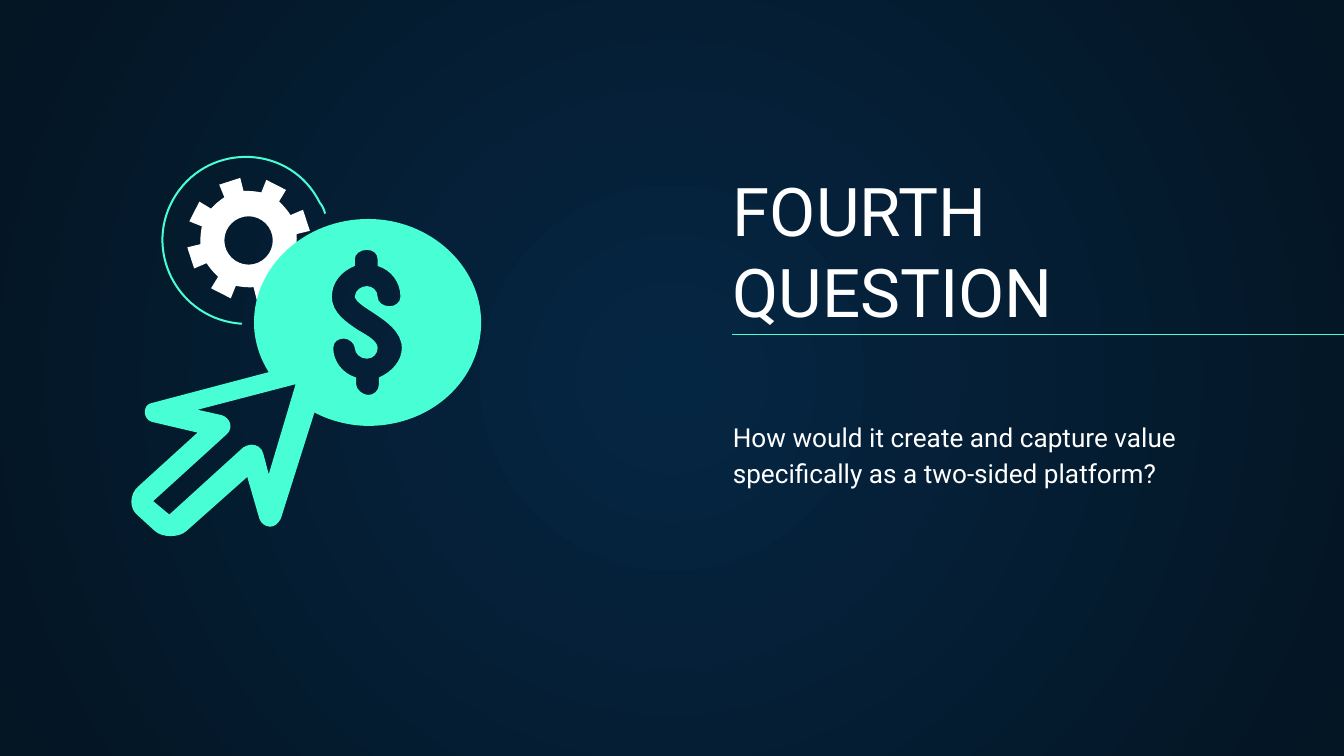
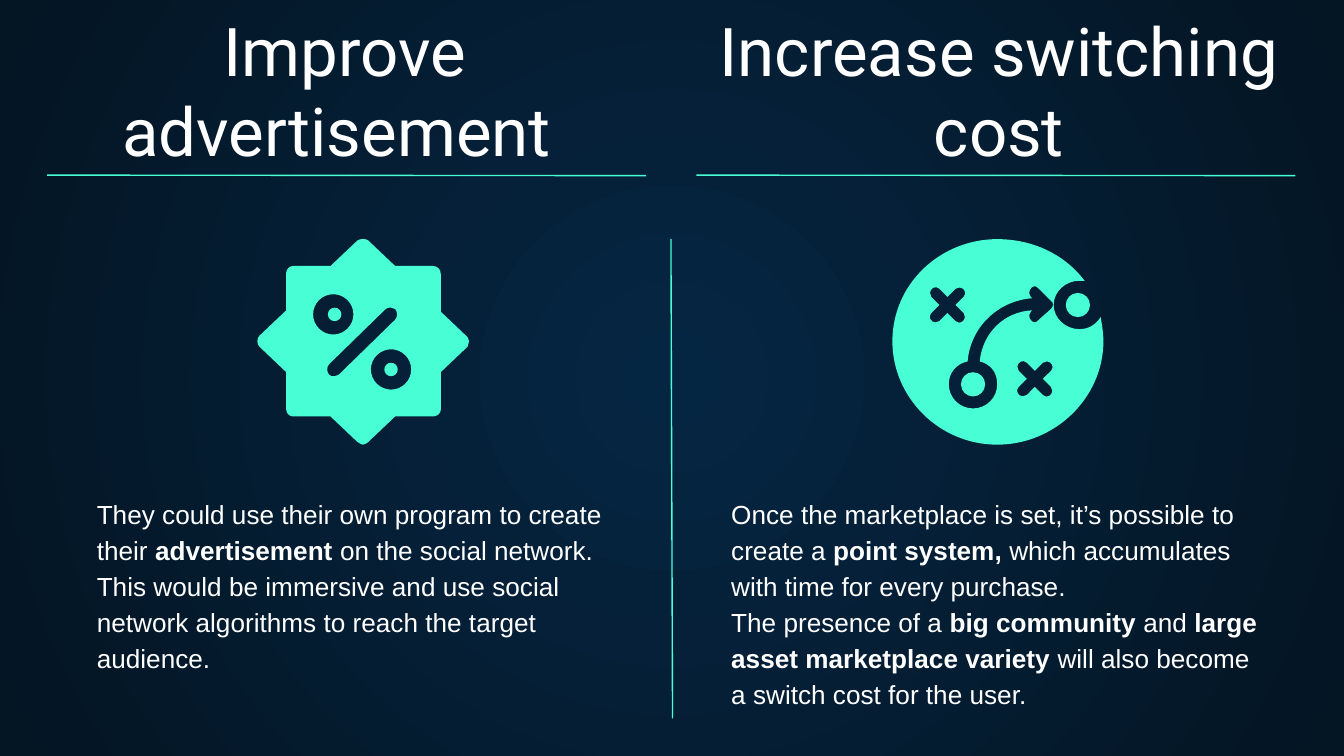
import math
from dataclasses import dataclass
from typing import NamedTuple

from lxml import etree
from pptx import Presentation
from pptx import util as u
from pptx.dml.color import RGBColor
from pptx.enum import shapes, text
from pptx.oxml import ns

WHITE = RGBColor(0xFF, 0xFF, 0xFF)
MINT = RGBColor(0x48, 0xFF, 0xD5)
NAVY = RGBColor(0x05, 0x26, 0x43)
MIDNIGHT = RGBColor(0x04, 0x15, 0x23)

TITLE_FONT = "Roboto"
BODY_FONT = "Arial"
INSET = u.Cm(0.25)
OUTLINE_UNIT = u.Cm(2.54)

Point = tuple[float, float]
Segment = list[Point]
Contour = list[Segment]


class Run(NamedTuple):
    text: str
    bold: bool = False


@dataclass(frozen=True)
class TextBlock:
    left: float
    top: float
    width: float
    height: float
    paragraphs: list[list[Run]]
    font: str = BODY_FONT
    size: int = 14
    spacing: float = 1.15
    alignment: text.PP_ALIGN = text.PP_ALIGN.LEFT
    anchor: text.MSO_ANCHOR = text.MSO_ANCHOR.TOP
    grows: bool = False


@dataclass(frozen=True)
class Rule:
    start: Point
    end: Point


@dataclass(frozen=True)
class Icon:
    contours: list[Contour]
    fill: RGBColor | None = MINT
    closed: bool = True


def moved(contour: Contour, x: float, y: float) -> Contour:
    return [[(x + dx, y + dy) for dx, dy in segment] for segment in contour]


def quarter_turns(contour: Contour) -> Contour:
    turned = []
    for _ in range(4):
        turned += contour
        contour = [[(-y, x) for x, y in segment] for segment in contour]
    return turned


def circle(x: float, y: float, radius: float) -> Contour:
    pull = 0.55 * radius
    quarter = [[(radius, pull), (pull, radius), (0, radius)]]
    return moved([[(radius, 0)]] + quarter_turns(quarter), x, y)


def cross(x: float, y: float) -> Contour:
    arm = [[(0, -0.06)], [(0.06, -0.12)],
           [(0.07, -0.13), (0.08, -0.13), (0.09, -0.13)],
           [(0.12, -0.13), (0.15, -0.09), (0.12, -0.06)]]
    return moved(quarter_turns(arm), x, y)


def gear(x: float, y: float) -> Contour:
    tooth = [[(-0.21, 0.36)], [(-0.18, 0.46)], [(0.18, 0.46)], [(0.21, 0.36)],
             [(0.33, 0.36), (0.45, 0.36), (0.58, 0.36)]]
    contour = []
    for index in range(8):
        middle = math.radians(252 + 45 * index)
        contour += [[(r * math.cos(middle + a), r * math.sin(middle + a)) for a, r in segment]
                    for segment in tooth[min(index, 1):]]
    return moved(contour, x, y)


def outline(drawing: str) -> Contour:
    contour: Contour = []
    for command in drawing.replace("L", "|L").replace("C", "|C").split("|"):
        numbers = [float(n) for n in command.strip("MLC ").split()]
        pairs = list(zip(numbers[::2], numbers[1::2]))
        size = 3 if command.startswith("C") else 1
        contour += [pairs[i:i + size] for i in range(0, len(pairs), size)]
    return contour


ORBIT = outline("M 1.8 2.41 C 1.32 2.38 1.05 1.85 1.31 1.45 1.57 1.05 2.17 1.08 2.38 1.51 "
                "2.4 1.53 2.41 1.56 2.42 1.59")
DOLLAR = outline(
    "M 2.73 1.86 C 2.78 1.86 2.81 1.89 2.81 1.93 L 2.81 1.98 C 2.91 2.01 2.98 2.1 2.98 2.21 "
    "2.98 2.25 2.94 2.28 2.9 2.28 2.85 2.28 2.81 2.25 2.81 2.21 2.81 2.16 2.77 2.13 2.73 2.13 "
    "2.69 2.13 2.64 2.16 2.64 2.21 2.65 2.25 2.72 2.29 2.78 2.33 2.87 2.39 2.99 2.47 2.99 2.59 "
    "2.99 2.69 2.91 2.77 2.82 2.81 L 2.82 2.86 C 2.82 2.91 2.78 2.94 2.74 2.94 "
    "2.7 2.94 2.65 2.9 2.65 2.86 L 2.65 2.81 C 2.55 2.78 2.48 2.69 2.48 2.59 "
    "2.48 2.54 2.52 2.52 2.56 2.52 2.6 2.52 2.64 2.56 2.64 2.59 2.64 2.63 2.68 2.67 2.73 2.67 "
    "2.78 2.67 2.81 2.63 2.81 2.59 2.81 2.54 2.74 2.5 2.67 2.46 2.58 2.4 2.47 2.33 2.47 2.21 "
    "2.47 2.1 2.54 2.02 2.64 1.98 L 2.64 1.93 C 2.64 1.89 2.68 1.86 2.73 1.86")
CURSOR_HOLE = outline(
    "M 2.2 2.86 L 2 3.53 1.96 3.38 C 1.95 3.33 1.91 3.31 1.87 3.31 1.85 3.31 1.83 3.32 1.81 3.33 "
    "L 1.26 3.83 1.14 3.73 1.69 3.23 C 1.74 3.18 1.71 3.11 1.65 3.09 L 1.47 3.05 2.2 2.86")
COIN_AND_CURSOR = outline(
    "M 2.74 1.63 C 2.27 1.63 1.89 1.98 1.89 2.4 1.89 2.53 1.93 2.66 2 2.77 L 1.13 3 "
    "C 1.06 3.01 1.06 3.12 1.13 3.14 L 1.47 3.22 1.03 3.62 C 0.96 3.68 0.96 3.79 1.03 3.84 "
    "L 1.15 3.95 C 1.18 3.98 1.23 3.99 1.27 3.99 1.31 3.99 1.36 3.98 1.39 3.95 "
    "L 1.84 3.55 1.93 3.86 C 1.94 3.89 1.97 3.92 2.01 3.92 2.04 3.92 2.07 3.9 2.09 3.86 "
    "L 2.34 3.07 C 2.45 3.13 2.6 3.17 2.74 3.17 3.21 3.17 3.58 2.83 3.58 2.4 "
    "3.58 1.98 3.2 1.63 2.74 1.63")
PERCENT_SLASH = outline(
    "M 2.91 2.29 C 2.92 2.29 2.93 2.29 2.94 2.3 2.96 2.32 2.96 2.36 2.94 2.38 L 2.52 2.79 "
    "C 2.51 2.8 2.5 2.8 2.49 2.8 2.47 2.8 2.46 2.8 2.45 2.79 2.43 2.77 2.43 2.73 2.45 2.71 "
    "L 2.87 2.3 C 2.88 2.29 2.89 2.29 2.91 2.29")
BADGE = outline(
    "M 2.7 1.78 C 2.69 1.78 2.67 1.78 2.66 1.79 L 2.46 1.98 2.18 1.98 "
    "C 2.15 1.98 2.13 2.01 2.13 2.03 L 2.13 2.31 1.93 2.5 C 1.91 2.52 1.91 2.56 1.93 2.58 "
    "L 2.13 2.77 2.13 3.05 C 2.13 3.08 2.16 3.1 2.18 3.1 L 2.46 3.1 2.66 3.29 "
    "C 2.68 3.3 2.69 3.31 2.7 3.31 2.72 3.31 2.72 3.3 2.74 3.29 L 2.94 3.1 3.22 3.1 "
    "C 3.25 3.1 3.28 3.08 3.28 3.05 L 3.28 2.77 3.48 2.58 C 3.48 2.57 3.49 2.55 3.49 2.54 "
    "3.49 2.53 3.48 2.52 3.48 2.51 L 3.28 2.32 3.28 2.04 C 3.28 2 3.25 1.98 3.22 1.98 "
    "L 2.94 1.98 2.74 1.79 C 2.73 1.78 2.72 1.78 2.7 1.78")
PLAY_ARROW = outline(
    "M 7.7 2.13 C 7.71 2.13 7.72 2.14 7.73 2.15 L 7.82 2.24 C 7.84 2.25 7.84 2.28 7.82 2.3 "
    "L 7.73 2.38 C 7.72 2.39 7.71 2.4 7.7 2.4 7.67 2.4 7.64 2.35 7.67 2.32 L 7.68 2.31 "
    "C 7.47 2.32 7.31 2.48 7.29 2.69 7.37 2.71 7.42 2.77 7.42 2.86 7.42 2.96 7.34 3.04 7.24 3.04 "
    "7.14 3.04 7.06 2.96 7.06 2.86 7.06 2.78 7.11 2.71 7.2 2.69 7.22 2.44 7.42 2.24 7.68 2.22 "
    "L 7.67 2.21 C 7.64 2.18 7.67 2.13 7.7 2.13")
PLAY_BOARD = outline(
    "M 7.42 1.78 C 7 1.78 6.64 2.11 6.64 2.54 6.64 2.96 6.99 3.31 7.42 3.31 "
    "7.85 3.31 8.21 2.96 8.21 2.54 8.21 2.48 8.2 2.42 8.19 2.36 8.15 2.42 8.1 2.45 8.03 2.45 "
    "7.93 2.45 7.84 2.37 7.84 2.27 7.84 2.17 7.93 2.09 8.03 2.09 8.04 2.09 8.06 2.09 8.07 2.09 "
    "7.92 1.89 7.68 1.78 7.42 1.78")

QUESTION_ICONS = [
    Icon([ORBIT], fill=None, closed=False),
    Icon([circle(1.85, 1.79, 0.18), gear(1.85, 1.78)], fill=WHITE),
    Icon([DOLLAR, CURSOR_HOLE, COIN_AND_CURSOR]),
]
PERCENT_BADGE = [
    Icon([circle(2.91, 2.75, 0.05)]),
    Icon([circle(2.49, 2.34, 0.05)]),
    Icon([circle(2.48, 2.34, 0.15), PERCENT_SLASH, circle(2.91, 2.75, 0.15), BADGE]),
]
STRATEGY_BOARD = [
    Icon([circle(7.24, 2.86, 0.09)]),
    Icon([cross(7.05, 2.27), cross(7.7, 2.82), PLAY_ARROW, PLAY_BOARD]),
    Icon([circle(8.02, 2.27, 0.09)]),
]


def title(left: float, top: float, width: float, words: str,
          alignment: text.PP_ALIGN = text.PP_ALIGN.CENTER) -> TextBlock:
    return TextBlock(left, top, width, 1.68, [[Run(words)]], TITLE_FONT, 36, 1.0,
                     alignment, text.MSO_ANCHOR.BOTTOM)


def add_slide(presentation):
    slide = presentation.slides.add_slide(presentation.slide_layouts[6])
    fill = slide.background.fill
    fill.gradient()
    for stop, color in zip(fill.gradient_stops, (NAVY, MIDNIGHT)):
        stop.color.rgb = color
    gradient = slide.element.find(".//" + ns.qn("a:gradFill"))
    gradient.remove(gradient.find(ns.qn("a:lin")))
    circle_path = etree.SubElement(gradient, ns.qn("a:path"), {"path": "circle"})
    etree.SubElement(circle_path, ns.qn("a:fillToRect"),
                     {side: "50000" for side in ("l", "t", "r", "b")})
    return slide


def add_text(slide, block: TextBlock) -> None:
    shape = slide.shapes.add_textbox(u.Cm(block.left), u.Cm(block.top),
                                     u.Cm(block.width), u.Cm(block.height))
    frame = shape.text_frame
    frame.word_wrap = True
    frame.auto_size = (text.MSO_AUTO_SIZE.SHAPE_TO_FIT_TEXT if block.grows
                       else text.MSO_AUTO_SIZE.NONE)
    frame.vertical_anchor = block.anchor
    frame.margin_left = frame.margin_right = INSET
    frame.margin_top = frame.margin_bottom = INSET
    for index, runs in enumerate(block.paragraphs):
        paragraph = frame.add_paragraph() if index else frame.paragraphs[0]
        paragraph.alignment = block.alignment
        paragraph.line_spacing = block.spacing
        for words, bold in runs:
            run = paragraph.add_run()
            run.text = words
            run.font.name = block.font
            run.font.size = u.Pt(block.size)
            run.font.bold = bold
            run.font.color.rgb = WHITE


def add_rule(slide, rule: Rule) -> None:
    ends = [u.Cm(value) for value in (*rule.start, *rule.end)]
    connector = slide.shapes.add_connector(shapes.MSO_CONNECTOR.STRAIGHT, *ends)
    connector.line.color.rgb = MINT
    connector.line.width = u.Pt(0.75)
    etree.SubElement(connector.element.spPr, ns.qn("a:effectLst"))


def bend_curves(shape, contours: list[Contour]) -> None:
    lines = iter(list(shape.element.iter(ns.qn("a:lnTo"))))
    for contour in contours:
        for segment in contour[1:]:
            parts = [next(lines) for _ in segment]
            if len(parts) == 3:
                curve = etree.Element(ns.qn("a:cubicBezTo"))
                parts[0].addprevious(curve)
                for part in parts:
                    curve.append(part[0])
                    part.getparent().remove(part)


def add_icon(shape_tree, icon: Icon) -> None:
    scaled = [[(x * OUTLINE_UNIT, y * OUTLINE_UNIT) for segment in contour for x, y in segment]
              for contour in icon.contours]
    builder = shape_tree.build_freeform(*scaled[0][0])
    for index, points in enumerate(scaled):
        if index:
            builder.move_to(*points[0])
        builder.add_line_segments(points[1:], close=icon.closed)
    shape = builder.convert_to_shape()
    bend_curves(shape, icon.contours)
    shape.shadow.inherit = False
    if icon.fill is None:
        shape.fill.background()
        shape.line.color.rgb = MINT
        shape.line.width = u.Pt(1.09)
    else:
        shape.fill.solid()
        shape.fill.fore_color.rgb = icon.fill
        shape.line.fill.background()


def build_question(presentation) -> None:
    slide = add_slide(presentation)
    add_text(slide, title(13.6, 4.82, 9.8, "FOURTH QUESTION", text.PP_ALIGN.LEFT))
    add_text(slide, TextBlock(13.6, 7.62, 9.6, 3.94, [[Run(
        "How would it create and capture value specifically as a two-sided platform?")]],
        TITLE_FONT))
    for icon in QUESTION_ICONS:
        add_icon(slide.shapes, icon)
    add_rule(slide, Rule((13.84, 6.32), (25.4, 6.32)))


def build_answers(presentation) -> None:
    slide = add_slide(presentation)
    advertisement = [[
        Run("They could use their own program to create their "),
        Run("advertisement ", True),
        Run("on the social network. This would be immersive and use social network "
            "algorithms to reach the target audience."),
    ]]
    switching = [
        [Run("Once the marketplace is set, it’s possible to create a "),
         Run("point system, ", True),
         Run("which accumulates with time for every purchase.")],
        [Run("The presence of a "), Run("big community", True), Run(" and"),
         Run(" large asset marketplace variety", True),
         Run(" will also become a switch cost for the user.")],
    ]
    add_text(slide, title(0.88, 1.79, 11.28, "Improve advertisement "))
    add_text(slide, TextBlock(1.58, 9.08, 10.57, 3.86, advertisement, grows=True))
    add_text(slide, TextBlock(13.57, 9.08, 10.57, 4.55, switching, grows=True))
    for rule in (Rule((0.89, 3.31), (12.21, 3.32)), Rule((13.16, 3.31), (24.48, 3.32)),
                 Rule((12.68, 4.52), (12.71, 13.58))):
        add_rule(slide, rule)
    for icons in (PERCENT_BADGE, STRATEGY_BOARD):
        group = slide.shapes.add_group_shape()
        for icon in icons:
            add_icon(group.shapes, icon)
    add_text(slide, title(13.24, 1.79, 11.28, "Increase switching cost"))


def main() -> None:
    presentation = Presentation()
    presentation.slide_width = u.Cm(25.4)
    presentation.slide_height = u.Cm(14.29)
    build_question(presentation)
    build_answers(presentation)
    presentation.save("out.pptx")


if __name__ == "__main__":
    main()
